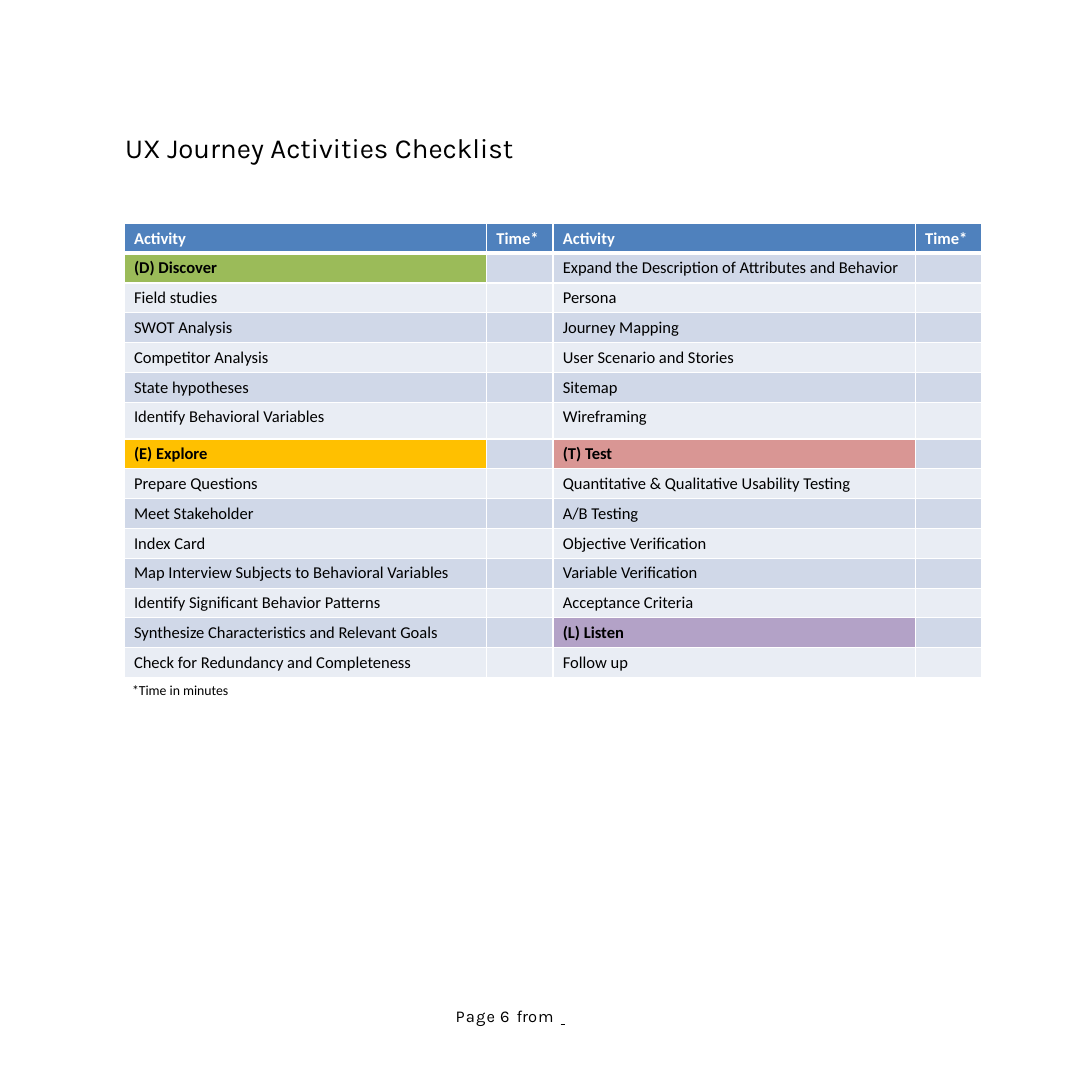
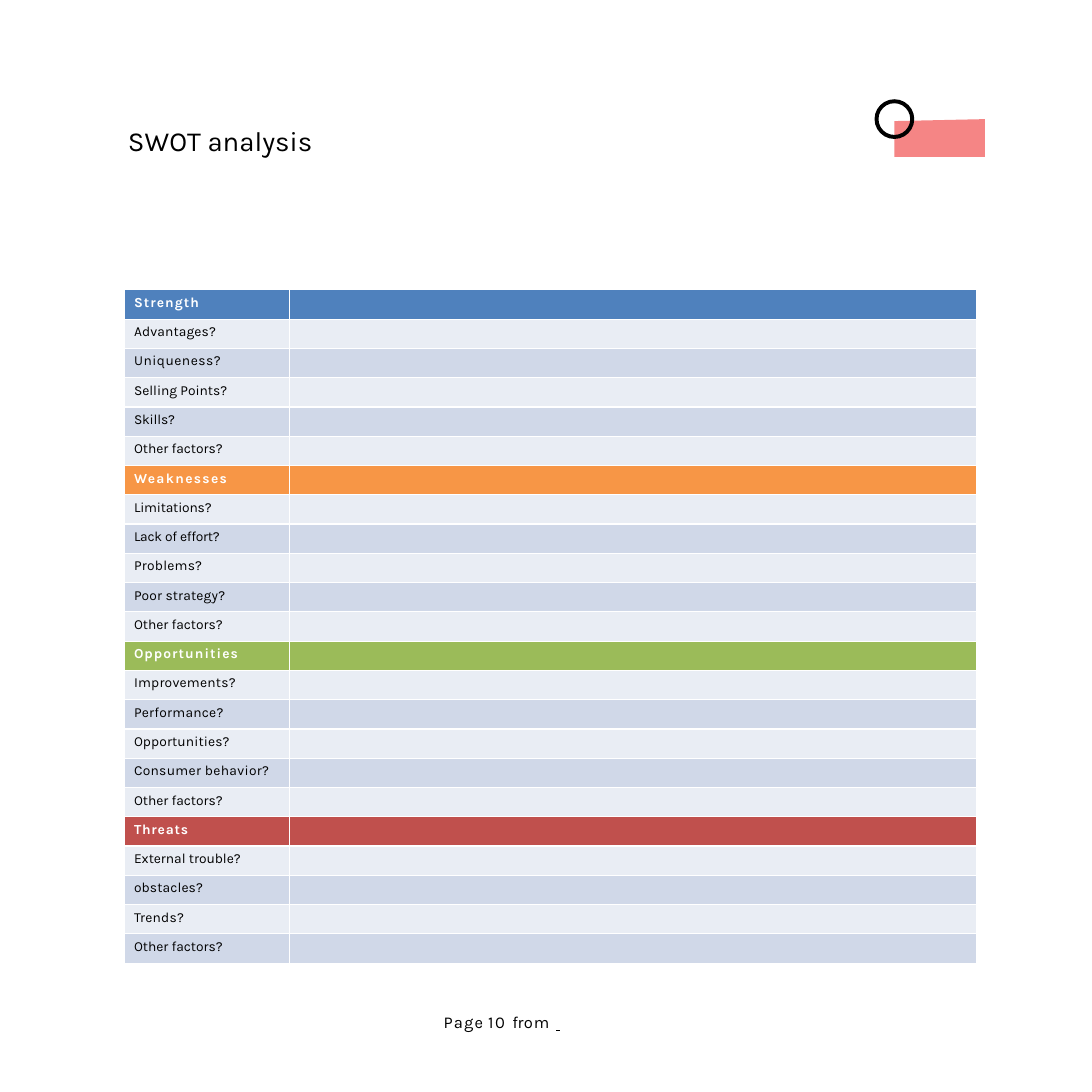
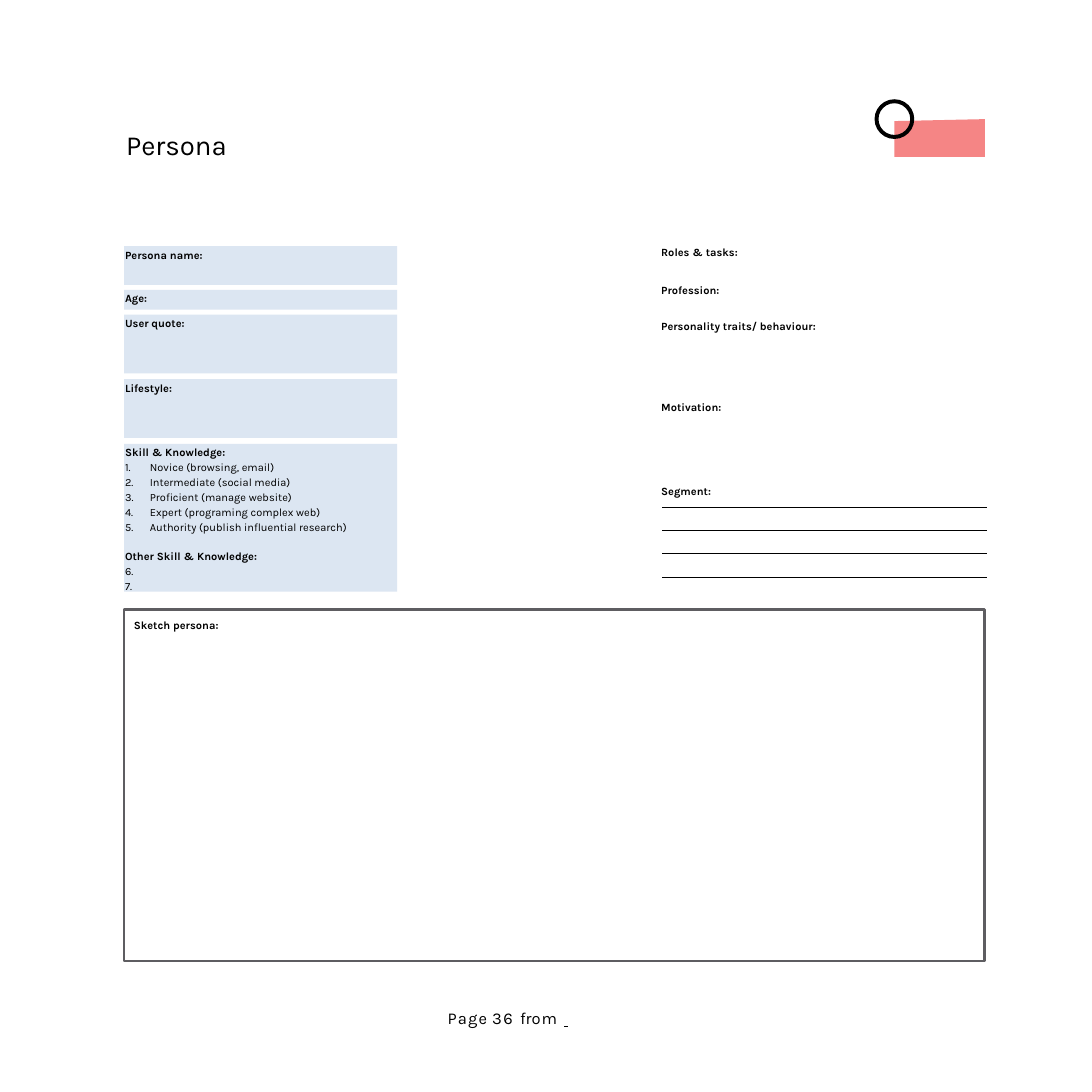
from lxml.etree import SubElement
from pptx import Presentation
from pptx.dml.color import RGBColor
from pptx.enum.shapes import MSO_CONNECTOR as LINE, MSO_SHAPE as SHAPE
from pptx.enum.text import MSO_ANCHOR as ANCHOR, PP_ALIGN as ALIGN
from pptx.oxml import parse_xml
from pptx.oxml.ns import nsdecls, qn
from pptx.util import Inches, Pt

# Shared look
COLORS = {
    "black": "000000", "white": "FFFFFF", "blue": "4F81BD", "green": "9BBB59",
    "yellow": "FFC000", "rose": "D99694", "purple": "B3A2C7", "orange": "F79646",
    "red": "C0504D", "band_dark": "D0D8E8", "band_light": "E9EDF4",
    "field": "DCE6F2", "frame": "5E5D61", "coral": "F58585",
}
HEADING, BODY, SERIF = "Karla", "Calibri", "Times New Roman"
SIDE, LEFT = 11, 1.25

# Slide 1: checklist, one list per column of activities
CHECKLIST_HEAD = ["Activity", "Time*"] * 2
CHECKLIST_WIDTHS = [3.65, 0.67] * 2
CHECKLIST_HEIGHTS = [0.3] * 6 + [0.37] + [0.3] * 8
ACTIVITIES = [
    ["(D) Discover", "Field studies", "SWOT Analysis", "Competitor Analysis",
     "State hypotheses", "Identify Behavioral Variables", "(E) Explore",
     "Prepare Questions", "Meet Stakeholder", "Index Card",
     "Map Interview Subjects to Behavioral Variables",
     "Identify Significant Behavior Patterns",
     "Synthesize Characteristics and Relevant Goals",
     "Check for Redundancy and Completeness"],
    ["Expand the Description of Attributes and Behavior", "Persona",
     "Journey Mapping", "User Scenario and Stories", "Sitemap", "Wireframing",
     "(T) Test", "Quantitative & Qualitative Usability Testing", "A/B Testing",
     "Objective Verification", "Variable Verification", "Acceptance Criteria",
     "(L) Listen", "Follow up"],
]
PHASES = {"(D) Discover": "green", "(E) Explore": "yellow",
          "(T) Test": "rose", "(L) Listen": "purple"}

# Slide 2: heading, colour, letter spacing, then (question, letter spacing)
OTHER = ("Other factors?", 0)
SWOT = [
    ("Strength", "blue", 0.8, [
        ("Advantages?", 0.1), ("Uniqueness?", 0.4), ("Selling Points?", 0),
        ("Skills?", -0.1), OTHER]),
    ("Weaknesses", "orange", 1, [
        ("Limitations?", -0.1), ("Lack of effort?", -0.15), ("Problems?", 0.2),
        ("Poor strategy?", 0.1), OTHER]),
    ("Opportunities", "green", 0.8, [
        ("Improvements?", 0.2), ("Performance?", 0.2), ("Opportunities?", 0.1),
        ("Consumer behavior?", 0.25), OTHER]),
    ("Threats", "red", 0.6, [
        ("External trouble?", 0), ("obstacles?", 0.1), ("Trends?", 0.2), OTHER]),
]
SWOT_WIDTHS, SWOT_HEIGHT = [1.67, 6.92], 6.79

# Slide 3: (label, top, height) on the left, (label, top) on the right
FIELDS = [("Persona name:", 2.48, 0.39), ("Age:", 2.92, 0.2),
          ("User quote:", 3.17, 0.59), ("Lifestyle:", 3.82, 0.59),
          ("Skill & Knowledge:", 4.47, 1.49)]
SKILLS = ["Novice (browsing, email)", "Intermediate (social media)",
          "Proficient (manage website)", "Expert (programing complex web)",
          "Authority (publish influential research)"]
OTHER_SKILLS, BLANK_SKILLS = "Other Skill & Knowledge:", [" ", " "]
TRAITS = [("Roles & tasks:", 2.45), ("Profession:", 2.84),
          ("Personality traits/ behaviour:", 3.2), ("Motivation:", 4.01),
          ("Segment:", 4.86)]
SEGMENT_LINES, SEGMENT_TOP, SEGMENT_STEP = 4, 5.11, 0.235


def color(name):
    return RGBColor.from_string(COLORS[name])


def add_run(p, text, size, font=HEADING, ink="black", bold=False, spacing=0):
    r = p.add_run()
    r.text = text
    r.font.size, r.font.name, r.font.bold = Pt(size), font, bold
    r.font.color.rgb = color(ink)
    if spacing:
        r._r.get_or_add_rPr().set("spc", str(round(spacing * 100)))
    return r


def set_frame(sp, left=0.01, top=0.02):
    tf = sp.text_frame
    tf.word_wrap, tf.vertical_anchor = True, ANCHOR.TOP
    tf.margin_left, tf.margin_top = Inches(left), Inches(top)
    tf.margin_right = tf.margin_bottom = 0
    tf.paragraphs[0].alignment = ALIGN.LEFT
    return tf


def add_text(s, box, top=0.02):
    return set_frame(s.shapes.add_textbox(*map(Inches, box)), top=top)


def paint(sp, fill=None, line=None, width=1):
    sp.shadow.inherit = False
    if fill:
        sp.fill.solid()
        sp.fill.fore_color.rgb = color(fill)
    else:
        sp.fill.background()
    if line:
        sp.line.color.rgb, sp.line.width = color(line), Pt(width)
    else:
        sp.line.fill.background()
    return sp


def add_box(s, box, **look):
    return paint(s.shapes.add_shape(SHAPE.RECTANGLE, *map(Inches, box)), **look)


def new_slide(prs, title, title_at, page, page_at):
    s = prs.slides.add_slide(prs.slide_layouts[6])
    tf = add_text(s, (*title_at, 6, 0.35))
    add_run(tf.paragraphs[0], title, 20)

    # Page line with an underlined gap for the total
    p = add_text(s, (*page_at, 1.41, 0.2), top=0).paragraphs[0]
    p.line_spacing = Pt(14.1)
    tabs = SubElement(p._p.get_or_add_pPr(), qn("a:tabLst"))
    SubElement(tabs, qn("a:tab"), pos=str(Inches(1.35)), algn="l")
    for text, spacing in [("Pag", 0.8), ("e ", 0.4), (f"{page} ", 1.2),
                          ("fr", -0.1), ("o", 0.7), ("m ", 1.1)]:
        add_run(p, text, 12, spacing=spacing)
    add_run(p, " \t", 12, font=SERIF).font.underline = True
    return s


def add_badge(s):
    corners = [(9.01, 1.22), (9.92, 1.2), (9.92, 1.58), (9.01, 1.58)]
    points = [(Inches(x), Inches(y)) for x, y in corners]
    builder = s.shapes.build_freeform(*points[0])
    builder.add_line_segments(points[1:], close=True)
    paint(builder.convert_to_shape(), fill="coral")
    ring = s.shapes.add_shape(SHAPE.DONUT, *map(Inches, (8.81, 1, 0.4, 0.4)))
    ring.adjustments[0] = 0.1
    paint(ring, fill="black")


def add_grid(s, top, widths, heights):
    box = map(Inches, (LEFT, top, sum(widths), sum(heights)))
    table = s.shapes.add_table(len(heights), len(widths), *box).table
    table.horz_banding = False
    for col, width in zip(table.columns, widths):
        col.width = Inches(width)
    for row, height in zip(table.rows, heights):
        row.height = Inches(height)
    return table


def fill_cell(cell, fill, text, size, thick=None, **style):
    cell.fill.solid()
    cell.fill.fore_color.rgb = color(fill)
    tc_pr = cell._tc.get_or_add_tcPr()
    for i, side in enumerate("LRTB"):
        width = Pt(3 if side == thick else 1)
        tc_pr.insert(i, parse_xml(
            f'<a:ln{side} {nsdecls("a")} w="{width}"><a:solidFill>'
            f'<a:srgbClr val="{COLORS["white"]}"/></a:solidFill></a:ln{side}>'))
    p = cell.text_frame.paragraphs[0]
    if text:
        add_run(p, text, size, **style)
    else:
        p._p.get_or_add_endParaRPr().set("sz", str(size * 100))


def checklist_slide(prs):
    s = new_slide(prs, "UX Journey Activities Checklist", (1.25, 1.3), 6, (4.58, 10.14))
    table = add_grid(s, 2.25, CHECKLIST_WIDTHS, CHECKLIST_HEIGHTS)
    for c, text in enumerate(CHECKLIST_HEAD):
        fill_cell(table.cell(0, c), "blue", text, 12, thick="B",
                  font=BODY, ink="white", bold=True)
    for r, (first, second) in enumerate(zip(*ACTIVITIES), 1):
        band = "band_dark" if r % 2 else "band_light"
        for c, text in enumerate((first, "", second, "")):
            fill_cell(table.cell(r, c), PHASES.get(text, band), text, 12,
                      thick="T" if r == 1 else None, font=BODY, bold=text in PHASES)
    note = add_text(s, (1.32, 6.87, 1.19, 0.2), top=0)
    add_run(note.paragraphs[0], "*Time in minutes", 10, font=BODY)


def swot_slide(prs):
    s = new_slide(prs, "SWOT analysis", (1.28, 1.23), 10, (4.46, 10.2))
    add_badge(s)
    rows = []
    for heading, fill, spacing, questions in SWOT:
        rows.append((heading, fill, dict(ink="white", bold=True, spacing=spacing)))
        for i, (text, gap) in enumerate(questions):
            band = "band_dark" if i % 2 else "band_light"
            rows.append((text, band, dict(spacing=gap)))
    table = add_grid(s, 2.92, SWOT_WIDTHS, [SWOT_HEIGHT / len(rows)] * len(rows))
    for r, (text, fill, style) in enumerate(rows):
        fill_cell(table.cell(r, 0), fill, text, 10, **style)
        fill_cell(table.cell(r, 1), fill, "", 10)


def add_line_of_text(tf, text, before=1.2, bold=False, start=None):
    p = tf.add_paragraph()
    p.alignment, p.space_before = ALIGN.LEFT, Pt(before)
    if start:
        p_pr = p._p.get_or_add_pPr()
        p_pr.set("marL", str(Inches(0.25)))
        p_pr.set("indent", str(-Inches(0.25)))
        SubElement(p_pr, qn("a:buAutoNum"), type="arabicPeriod", startAt=str(start))
    add_run(p, text, 8, bold=bold)


def persona_slide(prs):
    s = new_slide(prs, "Persona", (1.26, 1.27), 36, (4.5, 10.16))
    add_badge(s)

    # Fields on the left, the last one holding the skill lists
    for label, top, height in FIELDS:
        tf = set_frame(add_box(s, (LEFT, top, 2.75, height), fill="field"))
        add_run(tf.paragraphs[0], label, 8, bold=True)
    for text in SKILLS:
        add_line_of_text(tf, text, start=1)
    add_line_of_text(tf, OTHER_SKILLS, before=11.75, bold=True)
    for text in BLANK_SKILLS:
        add_line_of_text(tf, text, start=len(SKILLS) + 1)

    # Traits on the right, with writing lines below
    for label, top in TRAITS:
        tf = add_text(s, (6.65, top, 1.75, 0.15))
        add_run(tf.paragraphs[0], label, 8, bold=True)
    for i in range(SEGMENT_LINES):
        y = SEGMENT_TOP + i * SEGMENT_STEP
        line = s.shapes.add_connector(LINE.STRAIGHT, *map(Inches, (6.67, y, 9.94, y)))
        line.line.color.rgb, line.line.width = color("black"), Pt(0.75)
        SubElement(line._element.spPr, qn("a:effectLst"))

    # Sketch area
    sketch = add_box(s, (LEFT, 6.14, 8.67, 3.54), line="frame", width=1.81)
    tf = set_frame(sketch, left=0.1, top=0.09)
    add_run(tf.paragraphs[0], "Sketch persona:", 8, bold=True)


def main():
    prs = Presentation()
    prs.slide_width = prs.slide_height = Inches(SIDE)
    checklist_slide(prs)
    swot_slide(prs)
    persona_slide(prs)
    prs.save("out.pptx")


if __name__ == "__main__":
    main()
